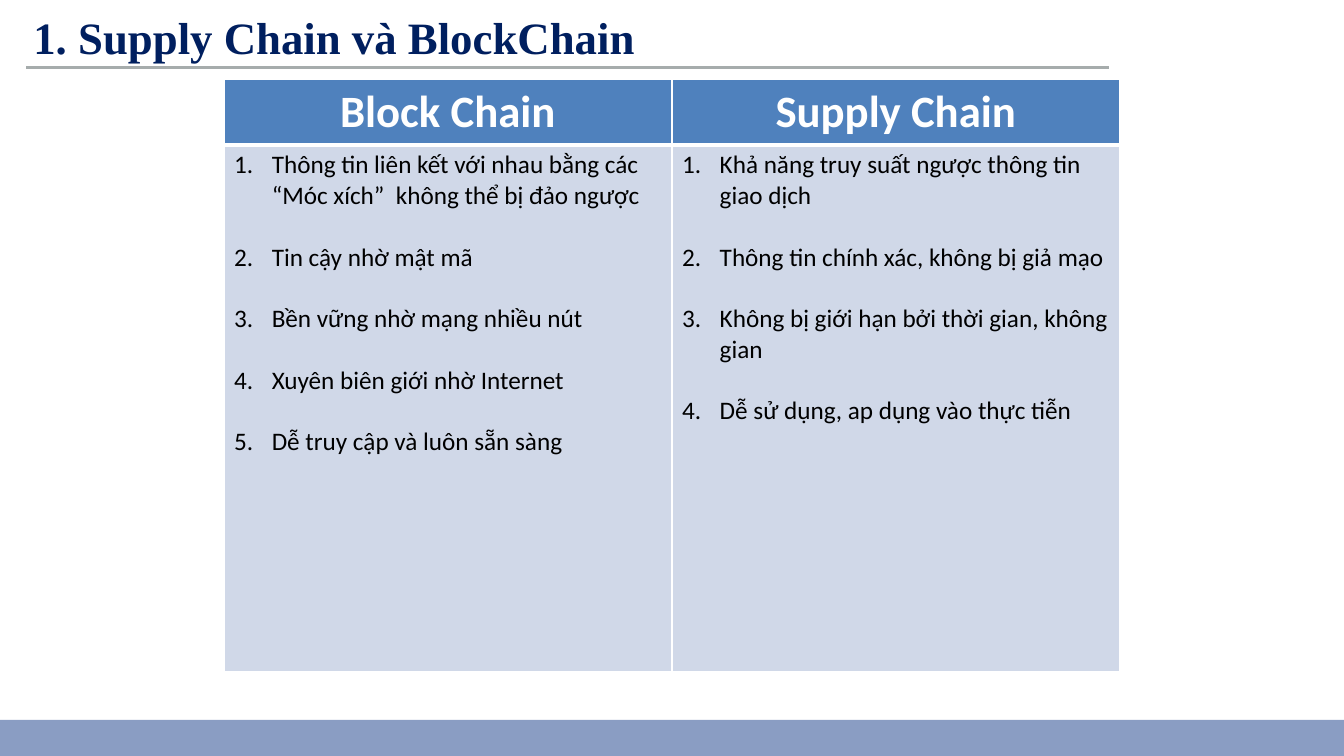
from dataclasses import dataclass

from lxml.etree import SubElement
from pptx import Presentation
from pptx.dml.color import RGBColor
from pptx.enum.shapes import MSO_CONNECTOR, MSO_SHAPE
from pptx.enum.text import MSO_ANCHOR, MSO_AUTO_SIZE, PP_ALIGN
from pptx.oxml import parse_xml
from pptx.oxml.ns import nsdecls, qn
from pptx.util import Cm, Pt

TITLE = "1. Supply Chain và BlockChain"
COLUMNS = {
    "Block Chain": [
        "Thông tin liên kết với nhau bằng các “Móc xích”  không thể bị đảo ngược",
        "Tin cậy nhờ mật mã",
        "Bền vững nhờ mạng nhiều nút",
        "Xuyên biên giới nhờ Internet",
        "Dễ truy cập và luôn sẵn sàng",
    ],
    "Supply Chain": [
        "Khả năng truy suất ngược thông tin giao dịch",
        "Thông tin chính xác, không bị giả mạo",
        "Không bị giới hạn bởi thời gian, không gian",
        "Dễ sử dụng, ap dụng vào thực tiễn",
    ],
}


@dataclass(frozen=True)
class Theme:
    title_font: str = "Times New Roman"
    table_font: str = "Calibri"
    heading_size: int = 32
    item_size: int = 18
    item_gap: int = 22
    title: str = "001F5F"
    rule: str = "A6ACAC"
    footer: str = "8A9DC3"
    header_fill: str = "4F81BD"
    body_fill: str = "D0D8E8"
    light: str = "FFFFFF"
    dark: str = "000000"


THEME = Theme()
SLIDE_WIDTH, SLIDE_HEIGHT = Cm(33.87), Cm(19.05)
FOOTER_HEIGHT = Cm(0.91)
RULE_LEFT, RULE_RIGHT, RULE_TOP = Cm(0.66), Cm(27.94), Cm(1.7)
TABLE_TOP, COLUMN_WIDTH = Cm(2.01), Cm(11.29)
HEADER_HEIGHT, BODY_HEIGHT = Cm(1.6), Cm(13.27)
ITEM_INDENT = Cm(0.95)


def style_runs(paragraph, font, size, color, bold=False):
    for run in paragraph.runs:
        run.font.name = font
        run.font.size = Pt(size)
        run.font.bold = bold
        run.font.color.rgb = RGBColor.from_string(color)


def number_paragraph(paragraph):
    properties = paragraph._p.get_or_add_pPr()
    properties.set("marL", str(ITEM_INDENT))
    properties.set("indent", str(-ITEM_INDENT))
    SubElement(properties, qn("a:buFont"), typeface="+mj-lt")
    SubElement(properties, qn("a:buAutoNum"), type="arabicPeriod")


def paint_cell(cell, fill, top=1, bottom=1):
    """Fill the cell and give it light borders; top and bottom are in points."""
    cell.fill.solid()
    cell.fill.fore_color.rgb = RGBColor.from_string(fill)
    properties = cell._tc.get_or_add_tcPr()
    borders = {"lnL": 1, "lnR": 1, "lnT": top, "lnB": bottom}
    for position, (side, width) in enumerate(borders.items()):
        properties.insert(position, parse_xml(
            f'<a:{side} {nsdecls("a")} w="{Pt(width)}"><a:solidFill>'
            f'<a:srgbClr val="{THEME.light}"/></a:solidFill></a:{side}>'))


def add_frame(slide):
    rule = slide.shapes.add_connector(
        MSO_CONNECTOR.STRAIGHT, RULE_LEFT, RULE_TOP, RULE_RIGHT, RULE_TOP)
    rule.line.color.rgb = RGBColor.from_string(THEME.rule)
    rule.line.width = Pt(1.56)
    SubElement(rule._element.spPr, qn("a:effectLst"))

    footer = slide.shapes.add_shape(
        MSO_SHAPE.RECTANGLE, 0, SLIDE_HEIGHT - FOOTER_HEIGHT, SLIDE_WIDTH, FOOTER_HEIGHT)
    footer.shadow.inherit = False
    footer.fill.solid()
    footer.fill.fore_color.rgb = RGBColor.from_string(THEME.footer)
    footer.line.fill.background()


def fill_title(slide):
    title = slide.shapes.title
    title.left, title.top, title.width, title.height = Cm(0.84), Cm(0.25), Cm(24.79), Cm(1.37)
    frame = title.text_frame
    frame.text = TITLE
    frame.margin_left = frame.margin_right = frame.margin_top = frame.margin_bottom = 0
    frame.vertical_anchor = MSO_ANCHOR.TOP
    frame.auto_size = MSO_AUTO_SIZE.NONE
    frame.paragraphs[0].alignment = PP_ALIGN.LEFT
    style_runs(frame.paragraphs[0], THEME.title_font, THEME.heading_size, THEME.title, True)


def add_comparison(slide):
    width = COLUMN_WIDTH * len(COLUMNS)
    table = slide.shapes.add_table(
        2, len(COLUMNS), (SLIDE_WIDTH - width) // 2, TABLE_TOP,
        width, HEADER_HEIGHT + BODY_HEIGHT).table
    table.rows[0].height, table.rows[1].height = HEADER_HEIGHT, BODY_HEIGHT
    for index, (heading, items) in enumerate(COLUMNS.items()):
        table.columns[index].width = COLUMN_WIDTH
        header, body = table.cell(0, index), table.cell(1, index)
        paint_cell(header, THEME.header_fill, bottom=3)
        paint_cell(body, THEME.body_fill, top=3)

        header.text_frame.text = heading
        heading_line = header.text_frame.paragraphs[0]
        heading_line.alignment = PP_ALIGN.CENTER
        style_runs(heading_line, THEME.table_font, THEME.heading_size, THEME.light, True)

        body.text_frame.text = "\n".join(items)
        for item in body.text_frame.paragraphs:
            item.space_after = Pt(THEME.item_gap)
            number_paragraph(item)
            style_runs(item, THEME.table_font, THEME.item_size, THEME.dark)


def main():
    deck = Presentation()
    deck.slide_width, deck.slide_height = SLIDE_WIDTH, SLIDE_HEIGHT
    title_only = deck.slide_layouts[5]
    slide = deck.slides.add_slide(title_only)
    add_frame(slide)
    fill_title(slide)
    add_comparison(slide)
    deck.save("out.pptx")


if __name__ == "__main__":
    main()
